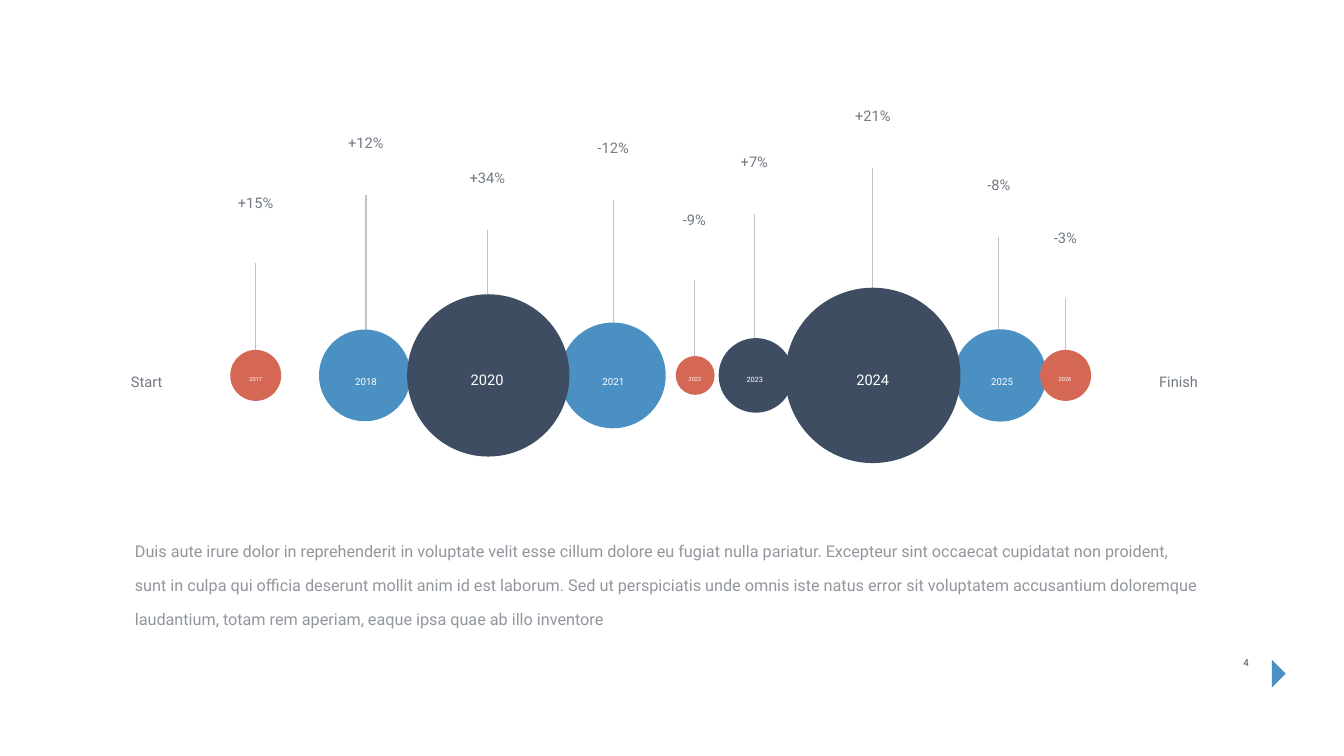
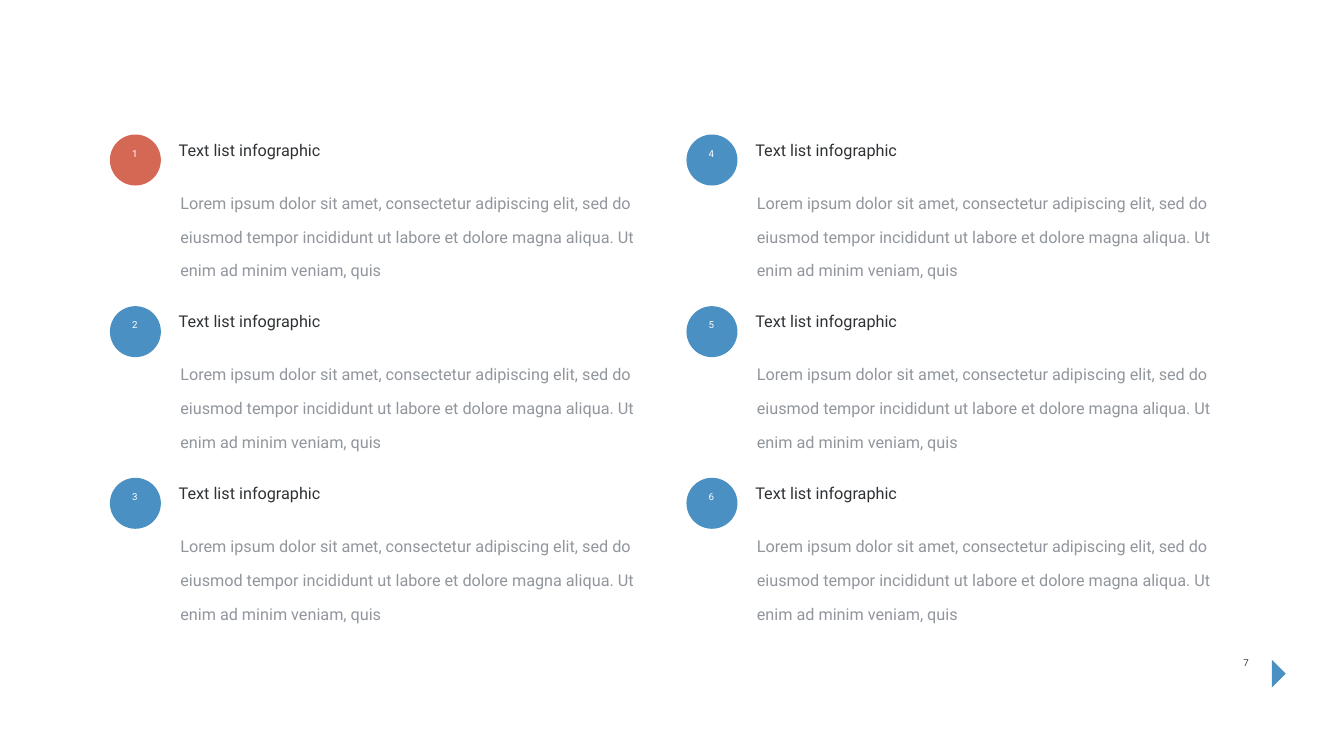
from collections import namedtuple
from dataclasses import dataclass

from lxml.etree import SubElement
from pptx import Presentation
from pptx.dml.color import RGBColor
from pptx.enum.shapes import MSO_CONNECTOR, MSO_SHAPE
from pptx.enum.text import MSO_ANCHOR, MSO_AUTO_SIZE, PP_ALIGN
from pptx.oxml.ns import qn
from pptx.util import Cm, Pt

# Type style: size in points, raised baseline in percent, line spacing
Style = namedtuple("Style", "size raised spacing color")


@dataclass(frozen=True)
class Theme:
    font: str = "Roboto"
    blue: str = "4B90C2"
    navy: str = "3E4D61"
    red: str = "D56854"
    stem: str = "C1C4C7"
    body: Style = Style(40, 43, 1.0, "91969D")
    heading: Style = Style(40, 43, 0.9, "2F3235")
    number: Style = Style(24, 50, 0.9, "FFFFFF")
    page: Style = Style(24, 50, 0.7, "3F4347")
    label: Style = Style(36, 33, 0.7, "717981")
    year_large: Style = Style(36, 33, 0.7, "FFFFFF")
    year_medium: Style = Style(24, 50, 0.7, "FFFFFF")
    year_small: Style = Style(18, 67, 0.7, "FFFFFF")
    year_tiny: Style = Style(14, 86, 0.7, "FFFFFF")


theme = Theme()


def add_label(slide, text, style, left, top, width, height,
              align=PP_ALIGN.LEFT, anchor=MSO_ANCHOR.TOP, wrap=True):
    frame = slide.shapes.add_textbox(Cm(left), Cm(top), Cm(width), Cm(height)).text_frame
    frame.word_wrap = wrap
    frame.auto_size = MSO_AUTO_SIZE.SHAPE_TO_FIT_TEXT
    frame.vertical_anchor = anchor
    frame.margin_left = frame.margin_right = Cm(0.15)
    frame.margin_top = frame.margin_bottom = Cm(0.15)
    paragraph = frame.paragraphs[0]
    paragraph.alignment = align
    paragraph.line_spacing = style.spacing
    run = paragraph.add_run()
    run.text = text
    run.font.name = theme.font
    run.font.size = Pt(style.size)
    run.font.color.rgb = RGBColor.from_string(style.color)
    run._r.get_or_add_rPr().set("baseline", str(style.raised * 1000))


def add_disc(slide, left, top, diameter, color):
    disc = slide.shapes.add_shape(MSO_SHAPE.OVAL, Cm(left), Cm(top), Cm(diameter), Cm(diameter))
    disc.shadow.inherit = False
    disc.fill.solid()
    disc.fill.fore_color.rgb = RGBColor.from_string(color)
    disc.line.fill.background()


deck = Presentation()
deck.slide_width, deck.slide_height = Cm(67.74), Cm(38.1)
blank = deck.slide_layouts[6]
timeline, text_list = deck.slides.add_slide(blank), deck.slides.add_slide(blank)

# Footer: forward arrow and page number
for slide, page in ((timeline, "4"), (text_list, "7")):
    outline = slide.shapes.build_freeform(Cm(64.11), Cm(33.25), scale=1.0)
    outline.add_line_segments([(Cm(64.8), Cm(33.95)), (Cm(64.11), Cm(34.65))], close=True)
    arrow = outline.convert_to_shape()
    arrow.shadow.inherit = False
    arrow.fill.solid()
    arrow.fill.fore_color.rgb = RGBColor.from_string(theme.blue)
    arrow.line.fill.background()
    add_label(slide, page, theme.page, 61.52, 33.25, 2.57, 1.42, PP_ALIGN.CENTER)

# Timeline data, in centimetres
Milestone = namedtuple(
    "Milestone", "year change color diameter disc_x stem_x stem_top stem_end year_x year_width style")
milestones = [
    Milestone("2017", "+15%", theme.red, 2.57, 12.89, 12.88, 13.23, 18.21, 12.89, 2.57, theme.year_tiny),
    Milestone("2018", "+12%", theme.blue, 4.62, 18.39, 18.44, 9.83, 16.61, 18.45, 4.55, theme.year_medium),
    Milestone("2020", "+34%", theme.navy, 8.18, 24.61, 24.56, 11.61, 14.81, 24.55, 7.95, theme.year_large),
    Milestone("2021", "-12%", theme.blue, 5.33, 30.89, 30.91, 10.06, 16.38, 30.92, 4.55, theme.year_medium),
    Milestone("2022", "-9%", theme.red, 1.96, 35.04, 35.0, 14.1, 18.52, 35.03, 2.08, theme.year_tiny),
    Milestone("2023", "+7%", theme.navy, 3.76, 38.1, 38.02, 10.8, 17.12, 38.04, 3.84, theme.year_small),
    Milestone("2024", "+21%", theme.navy, 8.84, 43.99, 43.99, 8.48, 14.81, 43.99, 8.48, theme.year_large),
    Milestone("2025", "-8%", theme.blue, 4.65, 50.41, 50.34, 11.96, 16.94, 50.51, 4.55, theme.year_medium),
    Milestone("2026", "-3%", theme.red, 2.57, 53.71, 53.7, 15.01, 18.21, 53.68, 2.57, theme.year_tiny),
]
axis_y = 18.92
# Top and height of the year text by type size
year_rows = {36: (18.82, 2.39), 24: (19.1, 1.83), 18: (19.02, 1.55), 14: (19.05, 1.37)}

# Stems
for item in milestones:
    stem = timeline.shapes.add_connector(
        MSO_CONNECTOR.STRAIGHT, Cm(item.stem_x), Cm(item.stem_end), Cm(item.stem_x), Cm(item.stem_top))
    stem.line.color.rgb = RGBColor.from_string(theme.stem)
    stem.line.width = Pt(2)
    SubElement(stem._element.spPr, qn("a:effectLst"))

# Closing paragraph
add_label(
    timeline,
    "Duis aute irure dolor in reprehenderit in voluptate velit esse cillum dolore eu fugiat "
    "nulla pariatur. Excepteur sint occaecat cupidatat non proident, sunt in culpa qui officia "
    "deserunt mollit anim id est laborum. Sed ut perspiciatis unde omnis iste natus error sit "
    "voluptatem accusantium doloremque laudantium, totam rem aperiam, eaque ipsa quae ab illo "
    "inventore",
    theme.body, 6.65, 27.13, 53.98, 3.71)

# Discs, blue ones behind the rest
for item in sorted(milestones, key=lambda entry: entry.color != theme.blue):
    radius = item.diameter / 2
    add_disc(timeline, item.disc_x - radius, axis_y - radius, item.diameter, item.color)

# Axis ends, years and changes
add_label(timeline, "Start", theme.label, 6.45, 18.95, 11.05, 2.39)
add_label(timeline, "Finish", theme.label, 49.48, 18.95, 11.05, 2.39, PP_ALIGN.RIGHT)
change_width = 5.74
for item in milestones:
    top, height = year_rows[item.style.size]
    add_label(timeline, item.year, item.style, item.year_x - item.year_width / 2, top,
              item.year_width, height, PP_ALIGN.CENTER)
    gap = 3.32 if item.color == theme.red else 2.92
    add_label(timeline, item.change, theme.label, item.stem_x - change_width / 2,
              item.stem_top - gap, change_width, 2.39, PP_ALIGN.CENTER)

# Numbered list: two columns of three, filled column by column
column_step, row_step, rows = 29.06, 8.65, 3
for index in range(6):
    column, row = divmod(index, rows)
    left, top = 5.54 + column * column_step, 6.78 + row * row_step
    add_label(
        text_list,
        "Lorem ipsum dolor sit amet, consectetur adipiscing elit, sed do eiusmod tempor "
        "incididunt ut labore et dolore magna aliqua. Ut enim ad minim veniam, quis",
        theme.body, left + 3.4, top + 2.8, 23.65, 3.71)
    add_label(text_list, "Text list infographic", theme.heading, left + 3.32, top + 0.15,
              12.9, 2.16, anchor=MSO_ANCHOR.MIDDLE, wrap=False)
    add_disc(text_list, left, top, 2.57, theme.red if index == 0 else theme.blue)
    add_label(text_list, str(index + 1), theme.number, left + 0.34, top + 0.57, 1.83, 1.42,
              PP_ALIGN.CENTER, MSO_ANCHOR.MIDDLE)

deck.save("out.pptx")
